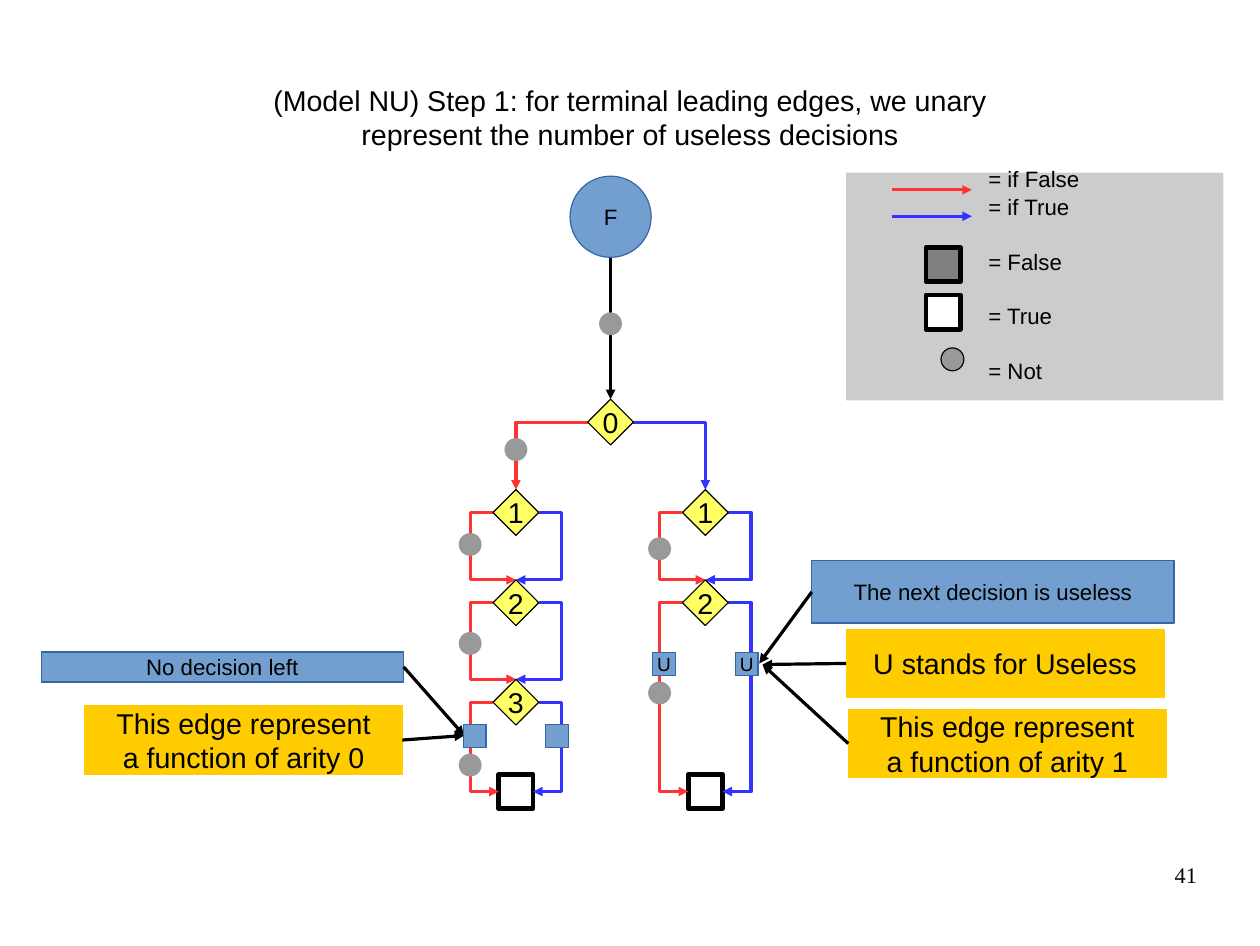
from pptx import Presentation
from pptx.dml.color import RGBColor
from pptx.enum.shapes import MSO_CONNECTOR, MSO_SHAPE
from pptx.enum.text import MSO_ANCHOR, PP_ALIGN
from pptx.oxml.ns import qn
from pptx.util import Pt
from lxml import etree

RECT, OVAL, DIAMOND = MSO_SHAPE.RECTANGLE, MSO_SHAPE.OVAL, MSO_SHAPE.DIAMOND
STRAIGHT, ELBOW = MSO_CONNECTOR.STRAIGHT, MSO_CONNECTOR.ELBOW
TOP, MIDDLE = MSO_ANCHOR.TOP, MSO_ANCHOR.MIDDLE
LEFT, CENTER, RIGHT = PP_ALIGN.LEFT, PP_ALIGN.CENTER, PP_ALIGN.RIGHT

COLORS = {
    "black": "000000", "white": "FFFFFF", "blue": "729FCF", "blue_edge": "3465A4",
    "gold": "FFCC00", "yellow": "FFFF66", "panel": "CCCCCC", "not": "999999",
    "false_fill": "808080", "if_false": "FF3333", "if_true": "3333FF",
}

ROOT_X, LEFT_X, RIGHT_X = 384.5, 324.9, 444.2
LEVEL_Y = [265.7, 322.6, 379.4, 442]
LEAF_Y = 498.2
HALF = 14.4          # half a decision diamond
RAIL = 2 * HALF      # distance of an edge from its column
LEAF = 21.6
MARK = 14.4
MARK_OFFSET = 26


def rgb(name):
    return RGBColor.from_string(COLORS[name])


def write(tf, text, size=14, font="Arial", align=CENTER, anchor=MIDDLE,
          wrap=False, insets=(7.2, 3.6, 7.2, 3.6), gaps=()):
    """Put each line of text in its own paragraph; gaps are spaces before."""
    tf.word_wrap = wrap
    tf.vertical_anchor = anchor
    tf.margin_left, tf.margin_top, tf.margin_right, tf.margin_bottom = map(Pt, insets)
    for i, line in enumerate(text.split("\n")):
        p = tf.add_paragraph() if i else tf.paragraphs[0]
        p.text = line
        p.alignment = align
        if i and gaps:
            p.space_before = Pt(gaps[i - 1])
        for r in p.runs:
            r.font.name, r.font.size = font, Pt(size)
            r.font.color.rgb = rgb("black")


def box(s, kind, x, y, w, h, fill, line=None, width=0, text=None, **fmt):
    sp = s.shapes.add_shape(kind, Pt(x), Pt(y), Pt(w), Pt(h))
    sp.shadow.inherit = False
    sp.fill.solid()
    sp.fill.fore_color.rgb = rgb(fill)
    if line:
        sp.line.color.rgb = rgb(line)
        sp.line.width = Pt(width)
    else:
        sp.line.fill.background()
    if text:
        write(sp.text_frame, text, **fmt)


def node(s, kind, cx, cy, extent, *args, **fmt):
    """Draw a shape of equal sides around its centre."""
    box(s, kind, cx - extent / 2, cy - extent / 2, extent, extent, *args, **fmt)


def label(s, x, y, w, h, text, **fmt):
    write(s.shapes.add_textbox(Pt(x), Pt(y), Pt(w), Pt(h)).text_frame, text, **fmt)


def arrow(s, x1, y1, x2, y2, color="black", kind=STRAIGHT):
    cn = s.shapes.add_connector(kind, Pt(x1), Pt(y1), Pt(x2), Pt(y2))
    cn.line.color.rgb = rgb(color)
    cn.line.width = Pt(0)
    spPr = cn.element.spPr
    etree.SubElement(spPr.get_or_add_ln(), qn("a:tailEnd"), type="triangle")
    etree.SubElement(spPr, qn("a:effectLst"))
    return cn


def branch(s, side, x):
    """Edge from the root decision: sideways, then down."""
    color = "if_true" if side > 0 else "if_false"
    cn = arrow(s, ROOT_X + side * HALF, LEVEL_Y[0], x, LEVEL_Y[1] - HALF, color, ELBOW)
    cn.element.spPr.find(qn("a:prstGeom")).set("prst", "bentConnector2")
    if side < 0:
        xfrm = cn.element.spPr.find(qn("a:xfrm"))
        del xfrm.attrib["flipH"]
        xfrm.set("rot", "10800000")
        xfrm.set("flipV", "1")


def rails(s, x, y1, y2, end=0):
    """Both edges of a decision: out to the rail, down and back in."""
    for side, color in ((-1, "if_false"), (1, "if_true")):
        cn = arrow(s, x + side * HALF, y1, x + side * end, y2, color, ELBOW)
        bend = (RAIL - HALF) / (end - HALF)
        av = cn.element.spPr.find(qn("a:prstGeom")).get_or_add_avLst()
        etree.SubElement(av, qn("a:gd"), name="adj1", fmla=f"val {round(bend * 100000)}")


def column(s, x, levels):
    node(s, RECT, x, LEAF_Y, LEAF, "white", "black", 3)
    for y, below in zip(levels, levels[1:]):
        rails(s, x, y, below - HALF)
    rails(s, x, levels[-1], LEAF_Y, LEAF / 2)
    for number, y in enumerate(levels, 1):
        decision(s, x, y, number)


def decision(s, x, y, number):
    node(s, DIAMOND, x, y, 2 * HALF, "yellow", "black", text=str(number), size=18)


def marks(s, x, y, text=None):
    for side in (-1, 1):
        node(s, RECT, x + side * MARK_OFFSET, y, MARK, "blue", "blue_edge",
             text=text, size=12)


def callouts(s):
    for x, y, h, text in ((25.9, 410.4, 18.9, "No decision left"),
                          (511.2, 352.8, 39.4, "The next decision is useless")):
        box(s, RECT, x, y, 228.2, h, "blue", "blue_edge", text=text)
    for x, y, text in ((534.2, 446.4, "This edge represent\na function of arity 1"),
                       (53.3, 444.2, "This edge represent\na function of arity 0"),
                       (532.8, 396, "U stands for Useless")):
        box(s, RECT, x, y, 200.2, 43.2, "gold", "gold", text=text, size=18)
    for ends in ((254.2, 419.8, 292.3, 463), (511.2, 372.6, 478.1, 417.6),
                 (534.2, 468, 480.2, 418.3), (253.4, 465.8, 292.3, 463),
                 (532.8, 417.6, 480.2, 418.3)):
        arrow(s, *ends)


def tree(s):
    arrow(s, ROOT_X, 162.5, ROOT_X, LEVEL_Y[0] - HALF)
    node(s, OVAL, ROOT_X, 136.4, 51.1, "blue", "blue_edge", text="F")
    branch(s, 1, RIGHT_X)
    branch(s, -1, LEFT_X)
    decision(s, ROOT_X, LEVEL_Y[0], 0)
    column(s, LEFT_X, LEVEL_Y[1:])
    column(s, RIGHT_X, LEVEL_Y[1:3])
    nots = [(ROOT_X, 203.8), (LEFT_X, 283)]
    nots += [(LEFT_X - RAIL, y) for y in (342.7, 405, 481.6)]
    nots += [(RIGHT_X - RAIL, y) for y in (345.4, 436.2)]
    for x, y in nots:
        node(s, OVAL, x, y, MARK, "not")
    marks(s, LEFT_X, 463.4)
    marks(s, RIGHT_X, 418, "U")


def legend(s):
    box(s, RECT, 532.8, 108.7, 237.6, 143.3, "panel", wrap=True, align=LEFT,
        text="= if False\n= if True\n= False\n= True\n= Not",
        insets=(89.6, 0, 7.2, 15), gaps=(0.7, 17.5, 17.5, 17.5))
    for y, color in ((119.5, "if_false"), (136.1, "if_true")):
        arrow(s, 561.6, y, 612, y, color)
    for y, fill in ((166.5, "false_fill"), (196.5, "white")):
        node(s, RECT, 594, y, LEAF, fill, "black", 3)
    node(s, OVAL, 599.8, 226.2, MARK, "not", "black")


def main():
    prs = Presentation()
    prs.slide_width, prs.slide_height = Pt(793.44), Pt(595.44)
    s = prs.slides.add_slide(prs.slide_layouts[6])
    callouts(s)
    tree(s)
    legend(s)
    label(s, 39.6, 23.8, 714.2, 99.4,
          "(Model NU) Step 1: for terminal leading edges, we unary\v"
          "represent the number of useless decisions",
          size=18, wrap=True, insets=(0, 0, 0, 0))
    label(s, 568.8, 542.2, 185, 41, "41", font="Times New Roman", align=RIGHT,
          anchor=TOP, wrap=True, insets=(0, 0, 0, 0))
    prs.save("out.pptx")


if __name__ == "__main__":
    main()
